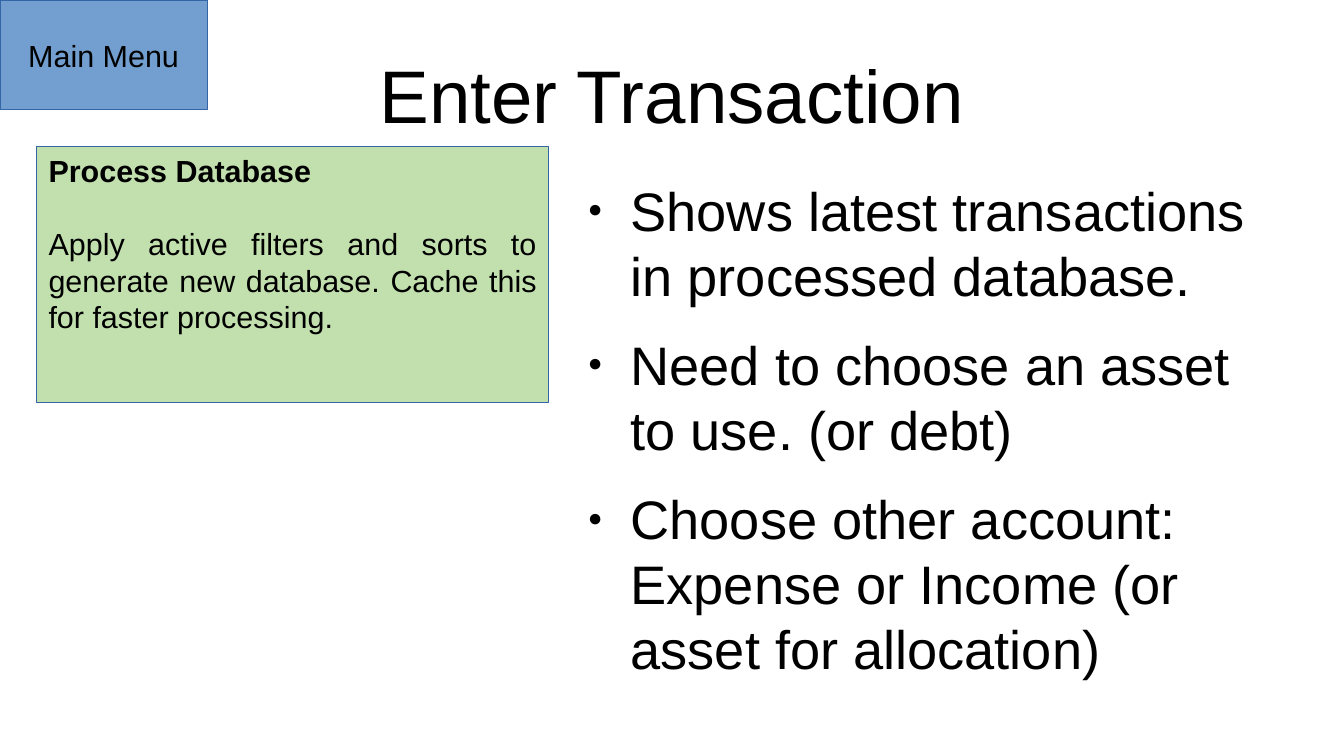
from lxml import etree
from pptx import Presentation
from pptx import util as u
from pptx.dml.color import RGBColor
from pptx.enum import shapes, text
from pptx.oxml.ns import qn

PX = u.Inches(1) / 100  # 100 px to the inch
FONT = "Arial"
COLORS = {"text": "000000", "process": "C2E0AE", "menu": "729FCF", "line": "3465A4"}
RULES = [
    "Shows latest transactions in processed database.",
    "Need to choose an asset to use. (or debt)",
    "Choose other account: Expense or Income (or asset for allocation)",
]


def px(length):
    return u.Emu(round(length * PX))


def color(name):
    return RGBColor.from_string(COLORS[name])


def style(paragraph, size, align, bold=False):
    paragraph.alignment = align
    font = paragraph.font
    font.name, font.size, font.bold = FONT, u.Pt(size), bold
    font.color.rgb = color("text")


def set_frame(frame, anchor, side=0, end=0):
    """Set anchor, wrapping and the side and end margins in px."""
    frame.vertical_anchor = anchor
    frame.word_wrap = True
    frame.auto_size = text.MSO_AUTO_SIZE.NONE
    frame.margin_left = frame.margin_right = px(side)
    frame.margin_top = frame.margin_bottom = px(end)


def place(shape, left, top, width, height):
    shape.left, shape.top = px(left), px(top)
    shape.width, shape.height = px(width), px(height)


def add_bullet(paragraph, hanging, indent):
    properties = paragraph._p.get_or_add_pPr()
    properties.set("marL", str(px(indent)))
    properties.set("indent", str(-px(hanging)))
    etree.SubElement(properties, qn("a:buSzPct"), val="45000")
    etree.SubElement(properties, qn("a:buFont"), typeface=FONT)
    etree.SubElement(properties, qn("a:buChar"), char="●")


def fill_title(title, words):
    place(title, 55, 25, 992, 104)
    set_frame(title.text_frame, text.MSO_ANCHOR.MIDDLE)
    title.text_frame.text = words
    paragraph = title.text_frame.paragraphs[0]
    paragraph.line_spacing = 1.0
    style(paragraph, 44, text.PP_ALIGN.CENTER)


def fill_list(body, items):
    place(body, 470, 145, 577, 360)
    frame = body.text_frame
    set_frame(frame, text.MSO_ANCHOR.TOP)
    frame.text = "\n".join(items)
    for index, paragraph in enumerate(frame.paragraphs):
        paragraph.line_spacing = 1.0
        paragraph.space_before = u.Pt(14.2 if index else 0)
        add_bullet(paragraph, 35, 47)
        style(paragraph, 32, text.PP_ALIGN.LEFT)


def add_box(slide, fill, left, top, width, height, anchor, words):
    box = slide.shapes.add_shape(
        shapes.MSO_SHAPE.RECTANGLE, px(left), px(top), px(width), px(height))
    box.shadow.inherit = False
    box.fill.solid()
    box.fill.fore_color.rgb = color(fill)
    box.line.color.rgb = color("line")
    box.line.width = 0
    set_frame(box.text_frame, anchor, 10, 5)
    box.text_frame.text = words
    return box.text_frame.paragraphs


def main():
    presentation = Presentation()
    presentation.slide_width, presentation.slide_height = px(1102), px(620)
    slide = presentation.slides.add_slide(presentation.slide_layouts[1])
    title, body = slide.placeholders
    fill_title(title, "Enter Transaction")
    fill_list(body, RULES)

    heading, detail = add_box(
        slide, "process", 30, 120, 420, 210, text.MSO_ANCHOR.TOP,
        "Process Database\nApply active filters and sorts to generate new database. "
        "Cache this for faster processing.")
    style(heading, 18, text.PP_ALIGN.JUSTIFY, bold=True)
    style(detail, 18, text.PP_ALIGN.JUSTIFY)
    detail.space_before = u.Pt(21.5)

    menu = add_box(slide, "menu", 0, 0, 170, 90, text.MSO_ANCHOR.MIDDLE, "Main Menu")
    style(menu[0], 18, text.PP_ALIGN.CENTER)

    presentation.save("out.pptx")


if __name__ == "__main__":
    main()
